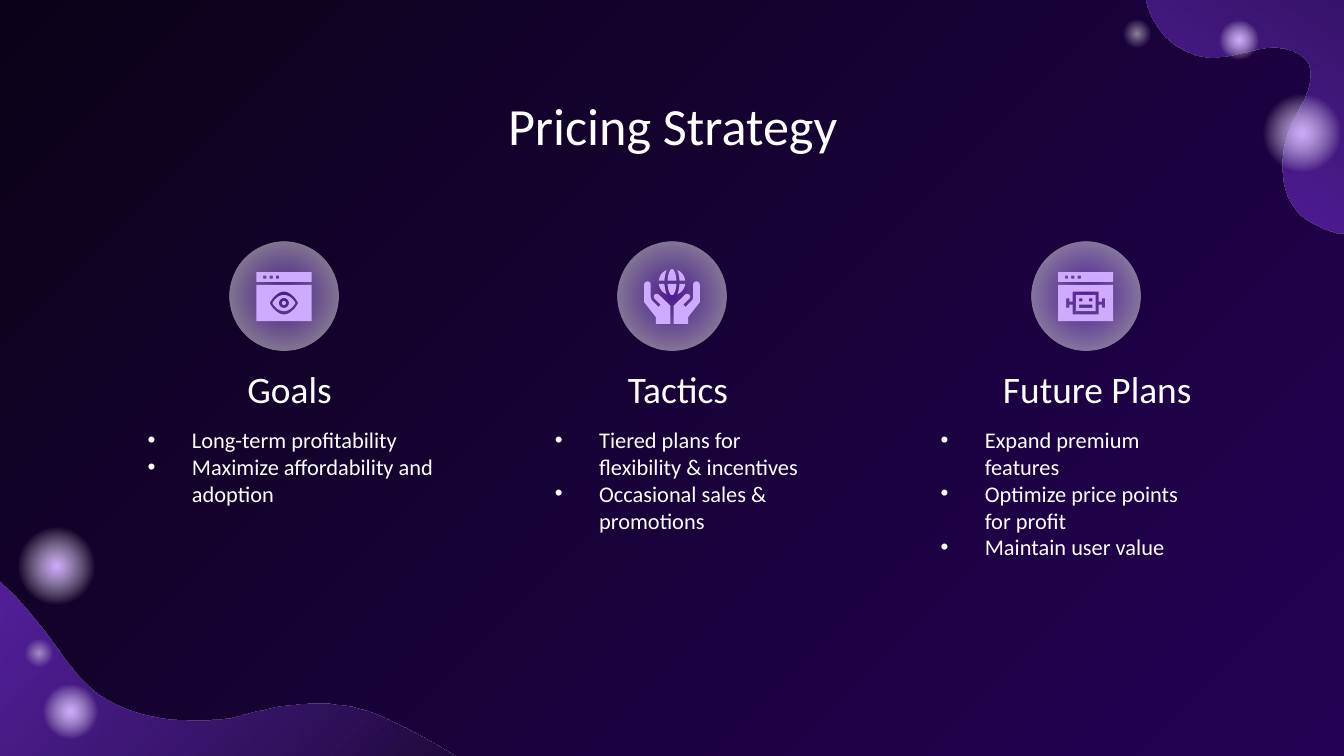
from dataclasses import dataclass
from typing import NamedTuple

from lxml.etree import SubElement
from pptx import Presentation
from pptx.dml.color import RGBColor
from pptx.enum.shapes import MSO_SHAPE as Shape
from pptx.enum.text import MSO_ANCHOR as Anchor, PP_ALIGN as Align
from pptx.oxml.ns import qn
from pptx.util import Inches, Pt

FONT = "Calibri"
COLORS = {"night": "0B0218", "indigo": "240155", "violet": "8134EC",
          "lilac": "CEABFF", "white": "FFFFFF"}
CELL = Inches(10) // 100  # one hundredth of the slide's width, used both ways


class Stop(NamedTuple):
    position: int
    color: str
    opacity: int = 100


class Glow(NamedTuple):
    left: float
    top: float
    size: float
    faint: bool = False


@dataclass
class Box:
    left: float
    top: float
    width: float
    height: float

    def emu(self) -> list[int]:
        return [round(v * CELL) for v in (self.left, self.top, self.width, self.height)]


@dataclass
class Column:
    heading: str
    heading_box: Box
    points: list[str]
    points_box: Box
    icon_center: float
    icon: list[str]


def rect(left: float, top: float, right: float, bottom: float) -> str:
    return f"M {left},{top} L {right},{top} {right},{bottom} {left},{bottom} "


def circle(cy: float, r: float) -> str:
    k = round(r * 0.55, 2)
    return (f"M 0,{cy - r} C {k},{cy - r} {r},{cy - k} {r},{cy} {r},{cy + k} {k},{cy + r} 0,{cy + r} "
            f"{-k},{cy + r} {-r},{cy + k} {-r},{cy} {-r},{cy - k} {-k},{cy - r} 0,{cy - r} ")


def flip(path: str, sx: int = 1, sy: int = 1) -> str:
    """Mirror a path about the axes whose sign is -1."""
    def turn(token: str) -> str:
        if token.isalpha():
            return token
        x, y = map(float, token.split(","))
        return f"{x * sx},{y * sy}"
    return " ".join(turn(token) for token in path.split())


def bezier(a: tuple, b: tuple, c: tuple, d: tuple, steps: int = 12) -> list[tuple]:
    weights = [((1 - t) ** 3, 3 * t * (1 - t) ** 2, 3 * t * t * (1 - t), t ** 3)
               for t in (i / steps for i in range(1, steps + 1))]
    return [tuple(sum(w * p[axis] for w, p in zip(ws, (a, b, c, d))) for axis in (0, 1))
            for ws in weights]


def trace(path: str) -> list[list[tuple]]:
    """Turn M, L and C commands into lists of points, one per outline."""
    outlines, controls, command = [], [], ""
    for token in path.split():
        if token.isalpha():
            command = token
            continue
        point = tuple(map(float, token.split(",")))
        if command == "M":
            outlines.append([point])
        elif command == "L":
            outlines[-1].append(point)
        else:
            controls.append(point)
            if len(controls) == 3:
                outlines[-1] += bezier(outlines[-1][-1], *controls)
                controls = []
    return outlines


def set_gradient(owner, fill, stops: list[Stop], angle: float | None = None) -> None:
    """Fill with a linear gradient, or a radial one when no angle is given."""
    fill.gradient()
    grad = next(owner.element.iter(qn("a:gradFill")))
    for child in list(grad):
        grad.remove(child)
    gs_list = SubElement(grad, qn("a:gsLst"))
    for stop in stops:
        gs = SubElement(gs_list, qn("a:gs"), pos=str(stop.position * 1000))
        color = SubElement(gs, qn("a:srgbClr"), val=COLORS[stop.color])
        SubElement(color, qn("a:alpha"), val=str(stop.opacity * 1000))
    if angle is None:
        radial = SubElement(grad, qn("a:path"), path="circle")
        SubElement(radial, qn("a:fillToRect"), l="50000", t="50000", r="50000", b="50000")
    else:
        SubElement(grad, qn("a:lin"), ang=str(round(angle * 60000)), scaled="0")


def plain(sp):
    sp.shadow.inherit = False
    sp.line.fill.background()
    return sp


def add_outline(shapes, path: str, origin: tuple = (0, 0), unit: float = CELL):
    outlines = [[(origin[0] * CELL + x * unit, origin[1] * CELL + y * unit) for x, y in pts]
                for pts in trace(path)]
    builder = shapes.build_freeform(*outlines[0][0])
    for i, pts in enumerate(outlines):
        if i:
            builder.move_to(*pts[0])
        builder.add_line_segments(pts[1:], close=True)
    return plain(builder.convert_to_shape())


def add_disc(shapes, box: Box, stops: list[Stop]) -> None:
    sp = plain(shapes.add_shape(Shape.OVAL, *box.emu()))
    set_gradient(sp, sp.fill, stops)


def add_icon(s, center: float, paths: list[str]) -> None:
    shapes = s.shapes.add_group_shape().shapes
    add_disc(shapes, Box(center - ICON_SIZE / 2, ICON_Y - ICON_SIZE / 2, ICON_SIZE, ICON_SIZE), ICON_STOPS)
    for path in paths:
        sp = add_outline(shapes, path, (center, ICON_Y), CELL / 10)
        sp.fill.solid()
        sp.fill.fore_color.rgb = RGBColor.from_string(COLORS["lilac"])


def write(sp, box: Box, lines: list[str], size: int, align=Align.CENTER,
          anchor=Anchor.TOP, indent: bool = True, bullet: bool = False) -> None:
    sp.left, sp.top, sp.width, sp.height = box.emu()
    tf = sp.text_frame
    tf.word_wrap = True
    tf.vertical_anchor = anchor
    tf.margin_left = tf.margin_right = tf.margin_top = tf.margin_bottom = CELL
    tf.text = "\n".join(lines)
    for p in tf.paragraphs:
        p.alignment = align
        props = p._p.get_or_add_pPr()
        if indent:
            props.set("marL", str(Inches(0.5)))
            props.set("indent", str(Inches(-0.33)))
        if bullet:
            color = SubElement(props, qn("a:buClr"))
            SubElement(color, qn("a:srgbClr"), val=COLORS["white"])
            SubElement(props, qn("a:buFont"), typeface="Arial")
            SubElement(props, qn("a:buChar"), char="•")
        for r in p.runs:
            r.font.size, r.font.name = Pt(size), FONT
            r.font.color.rgb = RGBColor.from_string(COLORS["white"])


BLOBS = [  # outline in cells, gradient angle
    ("M 82.8,-9 C 83.5,-8.4 84.2,-7.6 84.5,-6.8 85,-5.6 85,-4.3 85,-2.9 85,-2 85,-1.1 85.2,-0.2 "
     "85.7,2.1 87.2,3.7 89.4,4.2 91.7,4.7 93.9,2.9 96.2,3.8 98.8,4.8 96.9,7.6 96.1,9.2 "
     "95.2,11.1 95,14 96.5,15.7 97.2,16.5 98.4,17 99.4,17.3 100.6,17.5 101.8,17.2 103,17.4 "
     "104,17.5 105.4,18 106.1,18.9 106.8,19.9 107.1,21.1 107.5,22.2 109.1,26.6 113,30.5 117.8,31.4 "
     "118.4,31.5 119.3,31.6 119.9,31.4 L 109.3,-18.1 79.2,-10.9 C 80.4,-10.8 82,-9.7 82.8,-9", 122.9),
    ("M -2.9,41.3 C -0.1,42.8 1.5,44.6 3.3,46.9 4.8,48.9 6,51.1 8.5,52.3 11.1,53.6 15,53.9 17.9,53.2 "
     "21,52.3 24.7,51.8 27.8,53 30.9,54.3 33.9,56.2 36.7,57.9 38.5,59.1 40.3,60.3 42,61.7 "
     "L -12.9,61.7 -13,39.3 C -12.4,39.1 -11.7,39 -11,39 -8.2,39 -5.1,40.2 -2.9,41.3", 225),
]
BLOB_STOPS = [Stop(0, "night"), Stop(100, "violet", 70)]
GLOWS = [Glow(0.6, 38.5, 7.2), Glow(2.7, 50.4, 5.1), Glow(1.6, 47.3, 2.6, True),
         Glow(90.4, 1.2, 3.6), Glow(93.3, 6.3, 7.2), Glow(83.3, 1.2, 2.6, True)]
GLOW_FADE = [Stop(57, "white", 0), Stop(100, "white", 0)]
ICON_STOPS = [Stop(0, "violet", 49), Stop(77, "white", 49), Stop(100, "white", 49)]
ICON_SIZE, ICON_Y = 8.1, 22.05

# Icon outlines are in tenths of a cell, measured from the disc's centre.
WINDOW_BAR = rect(-20.5, -18, 20.5, -10.8) + "".join(
    rect(x, -15.5, x + 2.4, -13.2) for x in (-15.5, -10.7, -5.9))
WINDOW_BODY = rect(-20.5, -8.5, 20.5, 18.5)
EYE = ("M -10.5,5 C -10.5,4.5 -9.5,3 -8,1 -5,-2 -3,-3.5 0,-3.5 3,-3.5 5,-2 8,1 9.5,3 10.5,4.5 10.5,5 "
       "10.5,5.5 9.5,7 8,9 5,12 3,13.5 0,13.5 -3,13.5 -5,12 -8,9 -9.5,7 -10.5,5.5 -10.5,5 ")
EYEBALL = "M -8.5,5 C -7.5,3 -4.5,-1 0,-1 4.5,-1 7.5,3 8.5,5 7.5,7 4.5,11 0,11 -4.5,11 -7.5,7 -8.5,5 "
ROBOT = ("M -14.5,1.5 L -12,1.5 -12,4 -9.7,4 -9.7,-3.5 9.7,-3.5 9.7,4 12,4 12,1.5 14.5,1.5 "
         "14.5,8.5 12,8.5 12,6.2 9.7,6.2 9.7,13.5 -9.7,13.5 -9.7,6.2 -12,6.2 -12,8.5 -14.5,8.5 ")
ROBOT_FACE = (rect(-7.3, -1, 7.3, 11) + rect(-4.9, 1.5, -2.5, 3.8)
              + rect(2.5, 1.5, 4.9, 3.8) + rect(-4.9, 6.2, 4.9, 8.6))
GLOBE_Y = -10.5
GLOBE_EDGE = f"M 4,{GLOBE_Y - 9} C 4.4,-18.6 5.5,-15 5.6,{GLOBE_Y - 1.2} L 9.8,{GLOBE_Y - 1.2} C 9.3,-15.5 7.3,-18 4,{GLOBE_Y - 9}"
GLOBE_CORE = f"M -3.2,{GLOBE_Y - 1.2} C -3.2,-15 -2,-20.2 0,-20.2 2,-20.2 3.2,-15 3.2,{GLOBE_Y - 1.2}"
HAND = ("M 18.2,-11 C 16.8,-11 15.8,-10 15.8,-8.5 L 15.8,0 C 15.8,1.5 15.5,2.5 14.5,3.5 L 10,8 8.5,6.2 "
        "12.7,2 C 13.7,1 13.7,-0.3 12.9,-1.2 12,-2 10.8,-2 9.8,-1.2 L 1.2,7 1.2,20.5 12,20.5 12,15.5 "
        "20.7,4.5 20.7,-8.5 C 20.7,-10 19.6,-11 18.2,-11")


def mirror_globe(path: str) -> str:
    """Reflect an upper part of the globe below its equator."""
    return " ".join(t if t.isalpha() else f"{t.split(',')[0]},{2 * GLOBE_Y - float(t.split(',')[1])}"
                    for t in path.split())


UPPER_GLOBE = [GLOBE_EDGE, flip(GLOBE_EDGE, sx=-1), GLOBE_CORE]
EYE_ICON = [WINDOW_BODY + EYE, circle(5, 1.5), EYEBALL + circle(5, 3.7), WINDOW_BAR]
HANDS_ICON = UPPER_GLOBE + [mirror_globe(p) for p in UPPER_GLOBE] + [HAND, flip(HAND, sx=-1)]
ROBOT_ICON = [ROBOT_FACE, WINDOW_BODY + ROBOT, WINDOW_BAR]

HEAD_Y, HEAD_H, BODY_Y = 24.1, 7.5, 30.7
COLUMNS = [
    Column("Goals", Box(8.9, HEAD_Y, 23.6, HEAD_H),
           ["Long-term profitability", "Maximize affordability and adoption"],
           Box(8.3, BODY_Y, 26.8, 23.2), 21.13, EYE_ICON),
    Column("Tactics", Box(37.8, HEAD_Y, 23.6, HEAD_H),
           ["Tiered plans for flexibility & incentives", "Occasional sales & promotions"],
           Box(38.6, BODY_Y, 22.7, 11.5), 50, HANDS_ICON),
    Column("Future Plans", Box(67.3, HEAD_Y, 27, HEAD_H),
           ["Expand premium features", "Optimize price points for profit", "Maintain user value"],
           Box(67.3, BODY_Y, 23.6, 11.5), 80.78, ROBOT_ICON),
]


def main() -> None:
    prs = Presentation()
    prs.slide_width = Inches(10)
    prs.slide_height = prs.slide_width * 9 // 16
    s = prs.slides.add_slide(prs.slide_layouts[5])
    set_gradient(s, s.background.fill, [Stop(0, "night"), Stop(100, "indigo")], 45)
    for path, angle in BLOBS:
        sp = add_outline(s.shapes, path)
        set_gradient(sp, sp.fill, BLOB_STOPS, angle)
    for left, top, size, faint in GLOWS:
        core = Stop(0, "white", 50) if faint else Stop(0, "lilac")
        add_disc(s.shapes, Box(left, top, size, size), [core, *GLOW_FADE])
    write(s.shapes.title, Box(7.9, 5.9, 84.3, 6.3), ["Pricing Strategy"], 28, indent=False)
    for col in COLUMNS:
        write(s.shapes.add_textbox(0, 0, 0, 0), col.points_box, col.points, 12, Align.LEFT, bullet=True)
        write(s.shapes.add_textbox(0, 0, 0, 0), col.heading_box, [col.heading], 20, anchor=Anchor.BOTTOM)
        add_icon(s, col.icon_center, col.icon)
    prs.save("out.pptx")


if __name__ == "__main__":
    main()
